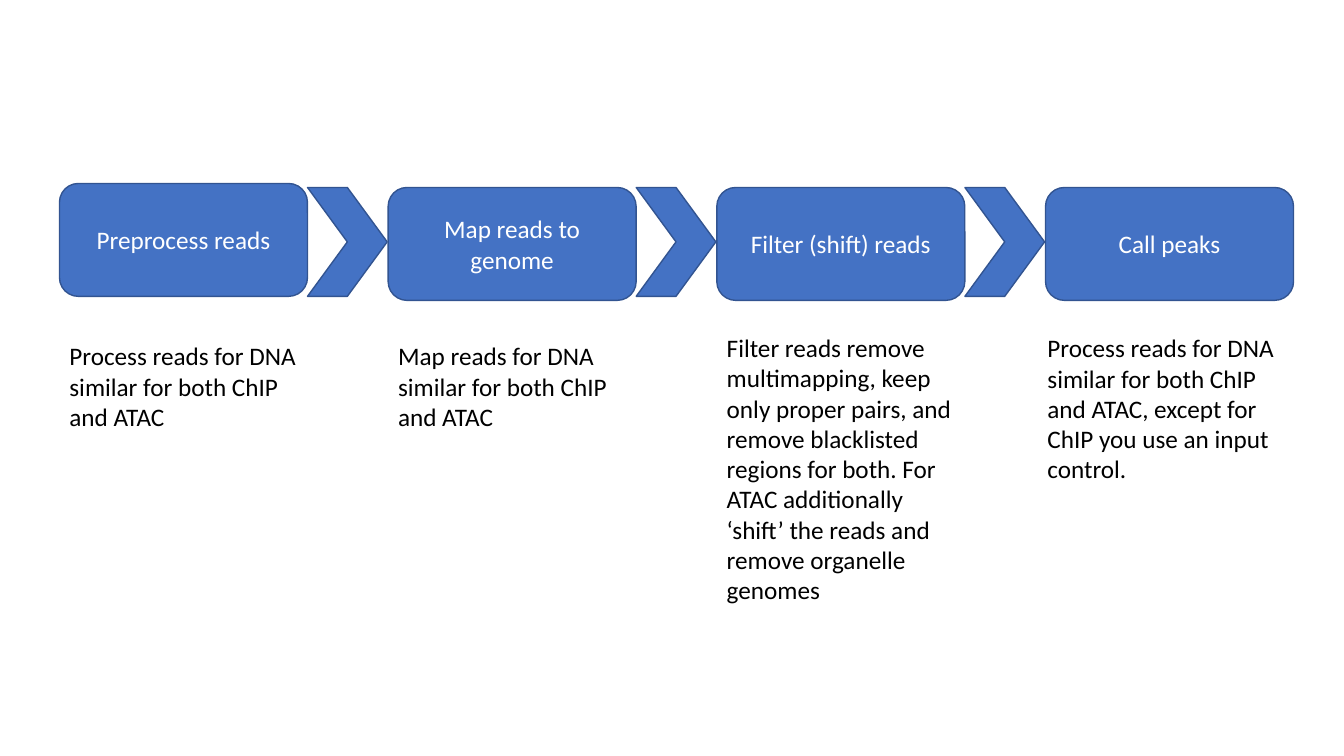
from dataclasses import dataclass

from pptx import Presentation
from pptx.dml.color import RGBColor
from pptx.enum.shapes import MSO_SHAPE as Shape
from pptx.enum.text import MSO_ANCHOR as Anchor, MSO_AUTO_SIZE as AutoSize, PP_ALIGN as Align
from pptx.util import Inches, Pt


@dataclass(frozen=True)
class Theme:
    font: str = "Calibri"
    body_size: int = 18
    line_width: int = 1
    fill: str = "4472C4"
    outline: str = "325491"
    on_fill: str = "FFFFFF"
    text: str = "000000"


@dataclass(frozen=True)
class Grid:
    left: float = 0.59
    pitch: float = 3.26
    column: float = 2.46
    chevron: float = 0.79

    def start(self, index):
        return self.left + index * self.pitch


def write_text(frame, text, *, theme, color, align, anchor):
    frame.word_wrap = True
    frame.vertical_anchor = anchor
    for index, line in enumerate(text.split("\n")):
        para = frame.paragraphs[0] if index == 0 else frame.add_paragraph()
        para.alignment = align
        span = para.add_run()
        span.text = line
        span.font.name = theme.font
        span.font.size = Pt(theme.body_size)
        span.font.color.rgb = RGBColor.from_string(color)


class Painter:
    def __init__(self, page, theme, grid):
        self.page = page
        self.theme = theme
        self.grid = grid

    def preset(self, kind, left, top, width, height):
        shape = self.page.shapes.add_shape(kind, *map(Inches, (left, top, width, height)))
        shape.shadow.inherit = False
        shape.fill.solid()
        shape.fill.fore_color.rgb = RGBColor.from_string(self.theme.fill)
        shape.line.color.rgb = RGBColor.from_string(self.theme.outline)
        shape.line.width = Pt(self.theme.line_width)
        return shape

    def chevron(self, column, top, height):
        left = self.grid.start(column) + self.grid.column
        self.preset(Shape.CHEVRON, left, top, self.grid.chevron, height)

    def step(self, column, top, height, text):
        box = self.preset(Shape.ROUNDED_RECTANGLE, self.grid.start(column), top,
                          self.grid.column, height)
        write_text(box.text_frame, text, theme=self.theme, color=self.theme.on_fill,
                   align=Align.CENTER, anchor=Anchor.MIDDLE)

    def description(self, column, top, height, text, shift=0):
        left = self.grid.start(column) + shift
        box = self.page.shapes.add_textbox(
            *map(Inches, (left, top, self.grid.column, height)))
        write_text(box.text_frame, text, theme=self.theme, color=self.theme.text,
                   align=Align.LEFT, anchor=Anchor.TOP)
        box.text_frame.auto_size = AutoSize.SHAPE_TO_FIT_TEXT


STEP_TOP, STEP_HEIGHT, CHEVRON_HEIGHT = 1.86, 1.12, 1.08

STEPS = [
    dict(title="Preprocess reads", lift=0.04, top=3.33, height=1.01,
         text="Process reads for DNA similar for both ChIP and ATAC"),
    dict(title="Map reads to\ngenome", top=3.33, height=1.01,
         text="Map reads for DNA similar for both ChIP and ATAC"),
    dict(title="Filter (shift) reads", top=3.25, height=2.83,
         text="Filter reads remove multimapping, keep only proper pairs, and remove "
              "blacklisted regions for both. For ATAC additionally ‘shift’ the reads "
              "and remove organelle genomes"),
    dict(title="Call peaks", top=3.25, height=1.62, shift=-0.08,
         text="Process reads for DNA similar for both ChIP and ATAC, except for ChIP "
              "you use an input control."),
]

deck = Presentation()
deck.slide_width, deck.slide_height = Inches(13.33), Inches(7.5)
blank_layout = deck.slide_layouts[6]
painter = Painter(deck.slides.add_slide(blank_layout), Theme(), Grid())

for column, step in enumerate(STEPS):
    if column < len(STEPS) - 1:
        painter.chevron(column, STEP_TOP, CHEVRON_HEIGHT)
    painter.step(column, STEP_TOP - step.get("lift", 0), STEP_HEIGHT, step["title"])
    painter.description(column, step["top"], step["height"], step["text"],
                        shift=step.get("shift", 0))

deck.save("out.pptx")
